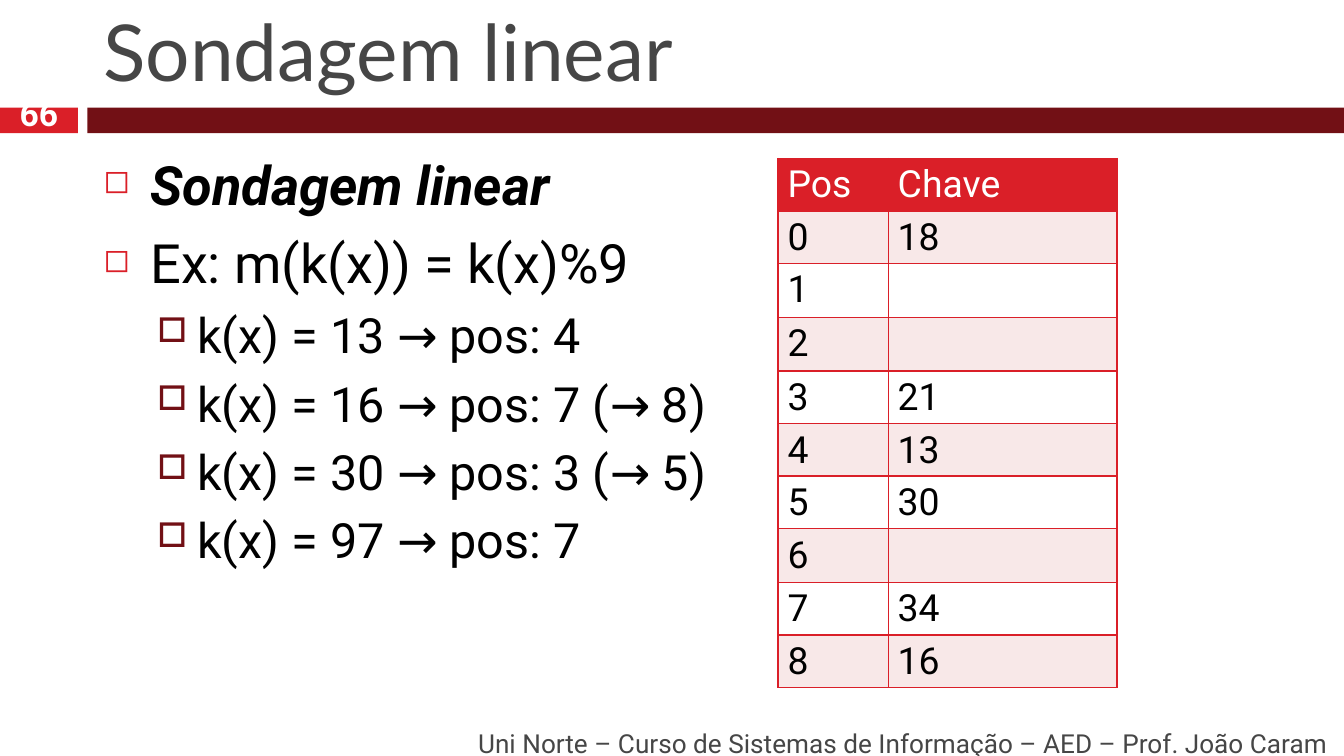
import pptx
import pptx.dml.color
import pptx.enum.shapes
import pptx.enum.text
import pptx.oxml
import pptx.oxml.ns
import pptx.util
from pptx.dml.color import RGBColor
from pptx.enum.text import MSO_ANCHOR, PP_ALIGN
from pptx.util import Inches

RED = RGBColor(0xDA, 0x1F, 0x28)
MAROON = RGBColor(0x72, 0x10, 0x15)
GRAY = RGBColor(0x46, 0x46, 0x46)
PINK = RGBColor(0xF8, 0xE8, 0xE8)
BLACK = RGBColor(0, 0, 0)
WHITE = RGBColor(0xFF, 0xFF, 0xFF)

TOPICS = [
    (0, "Sondagem linear", True),
    (0, "Ex: m(k(x)) = k(x)%9", False),
    (1, "k(x) = 13 → pos: 4", False),
    (1, "k(x) = 16 → pos: 7 (→ 8)", False),
    (1, "k(x) = 30 → pos: 3 (→ 5)", False),
    (1, "k(x) = 97 → pos: 7", False),
]
LEVELS = [
    {"size": 29, "before": 7, "margin": 0.35, "indent": -0.35, "bullet": "◻", "color": RED, "percent": 60},
    {"size": 26, "before": 5.5, "margin": 0.7, "indent": -0.3, "bullet": "□", "color": MAROON, "percent": 70},
]
KEYS = ["18", "", "", "21", "13", "30", "", "34", "16"]


def add_run(paragraph, text, size, color, font="Roboto", bold=False, italic=False):
    """Append one formatted run to a paragraph."""
    run = paragraph.add_run()
    run.text = text
    run.font.name = font
    run.font.size = pptx.util.Pt(size)
    run.font.color.rgb = color
    run.font.bold = bold
    run.font.italic = italic


def add_frame(slide, left, top, width, height, anchor):
    """Add a wrapping text box and return its text frame."""
    box = slide.shapes.add_textbox(Inches(left), Inches(top), Inches(width), Inches(height))
    frame = box.text_frame
    frame.word_wrap = True
    frame.vertical_anchor = anchor
    return frame


def add_bar(slide, left, top, width, height, color):
    """Add a plain filled bar."""
    bar = slide.shapes.add_shape(
        pptx.enum.shapes.MSO_SHAPE.RECTANGLE,
        Inches(left), Inches(top), Inches(width), Inches(height))
    bar.shadow.inherit = False
    bar.fill.solid()
    bar.fill.fore_color.rgb = color
    bar.line.fill.background()


def add_header_band(slide, left, top, width, height):
    """Draw the page-number block and the long band beside it."""
    number_width, gap = 0.58, 0.07
    band_offset = number_width + gap
    add_bar(slide, left, top, number_width, height, RED)
    add_bar(slide, left + band_offset, top, width - band_offset, height, MAROON)


def add_title(slide, left, top, width, height):
    """Write the slide title."""
    frame = add_frame(slide, left, top, width, height, MSO_ANCHOR.BOTTOM)
    add_run(frame.paragraphs[0], "Sondagem linear", 42, GRAY, "Lato")


def set_bullet(paragraph, level):
    """Give a paragraph the indent and bullet of its level."""
    properties = paragraph._p.get_or_add_pPr()
    properties.set("marL", str(Inches(level["margin"])))
    properties.set("indent", str(Inches(level["indent"])))
    namespace = pptx.oxml.ns.nsdecls("a")
    for xml in (
        f'<a:buClr {namespace}><a:srgbClr val="{level["color"]}"/></a:buClr>',
        f'<a:buSzPct {namespace} val="{level["percent"] * 1000}"/>',
        f'<a:buChar {namespace} char="{level["bullet"]}"/>',
    ):
        properties.append(pptx.oxml.parse_xml(xml))


def add_topics(slide, left, top, width, height):
    """Write the two-level bulleted list."""
    frame = add_frame(slide, left, top, width, height, MSO_ANCHOR.TOP)
    for index, (depth, text, strong) in enumerate(TOPICS):
        level = LEVELS[depth]
        paragraph = frame.add_paragraph() if index else frame.paragraphs[0]
        paragraph.level = depth
        paragraph.space_before = pptx.util.Pt(level["before"])
        set_bullet(paragraph, level)
        add_run(paragraph, text, level["size"], BLACK, bold=strong, italic=strong)


def set_borders(cell):
    """Draw a thin red line on every side of a cell."""
    properties = cell._tc.get_or_add_tcPr()
    for index, side in enumerate(("lnL", "lnR", "lnT", "lnB")):
        properties.insert(index, pptx.oxml.parse_xml(
            f'<a:{side} {pptx.oxml.ns.nsdecls("a")} w="{pptx.util.Pt(1)}">'
            f'<a:solidFill><a:srgbClr val="{RED}"/></a:solidFill></a:{side}>'))


def fill_cell(cell, text, fill, color):
    """Fill, border and write one table cell."""
    cell.fill.solid()
    cell.fill.fore_color.rgb = fill
    set_borders(cell)
    if text:
        cell.margin_left = cell.margin_right = Inches(0.07)
        cell.margin_top, cell.margin_bottom = Inches(0.05), Inches(0.03)
        paragraph = cell.text_frame.paragraphs[0]
        paragraph.line_spacing = 0.93
        add_run(paragraph, text, 20, color)


def add_hash_table(slide, left, top, width, height):
    """Add the table of positions and keys."""
    rows = [("Pos", "Chave")] + [(str(pos), key) for pos, key in enumerate(KEYS)]
    graphic = slide.shapes.add_table(
        len(rows), 2, Inches(left), Inches(top), Inches(width), Inches(height))
    table = graphic.table
    table.first_row = table.horz_banding = False
    position_width = 0.82
    table.columns[0].width = Inches(position_width)
    table.columns[1].width = Inches(width - position_width)
    for index, row in enumerate(rows):
        table.rows[index].height = Inches(0.27)
        fill = RED if index == 0 else PINK if index % 2 else WHITE
        for column, text in enumerate(row):
            fill_cell(table.cell(index, column), text, fill, BLACK if index else WHITE)
    graphic.height = Inches(height)


def add_footer(slide, left, top, width, height):
    """Write the course line at the bottom."""
    frame = add_frame(slide, left, top, width, height, MSO_ANCHOR.MIDDLE)
    frame.paragraphs[0].alignment = PP_ALIGN.RIGHT
    add_run(frame.paragraphs[0],
            "Uni Norte – Curso de Sistemas de Informação – AED – Prof. João Caram", 14, GRAY)


def add_page_number(slide, left, top, width, height):
    """Write the page number over its block."""
    frame = add_frame(slide, left, top, width, height, MSO_ANCHOR.MIDDLE)
    frame.paragraphs[0].alignment = PP_ALIGN.CENTER
    frame.paragraphs[0].line_spacing = 0.8
    add_run(frame.paragraphs[0], "66", 18, WHITE, bold=True)


def main():
    """Build and save the slide."""
    deck = pptx.Presentation()
    deck.slide_width = Inches(10)
    deck.slide_height = deck.slide_width * 9 // 16
    slide = deck.slides.add_slide(deck.slide_layouts[6])
    add_header_band(slide, 0, 0.8, 10, 0.19)
    add_title(slide, 0.67, 0.13, 9.22, 0.64)
    add_topics(slide, 0.67, 1.08, 9.22, 4.25)
    add_hash_table(slide, 5.79, 1.18, 2.52, 3.91)
    add_footer(slide, 1.06, 5.38, 8.92, 0.3)
    add_page_number(slide, 0, 0.77, 0.58, 0.2)
    deck.save("out.pptx")


if __name__ == "__main__":
    main()
